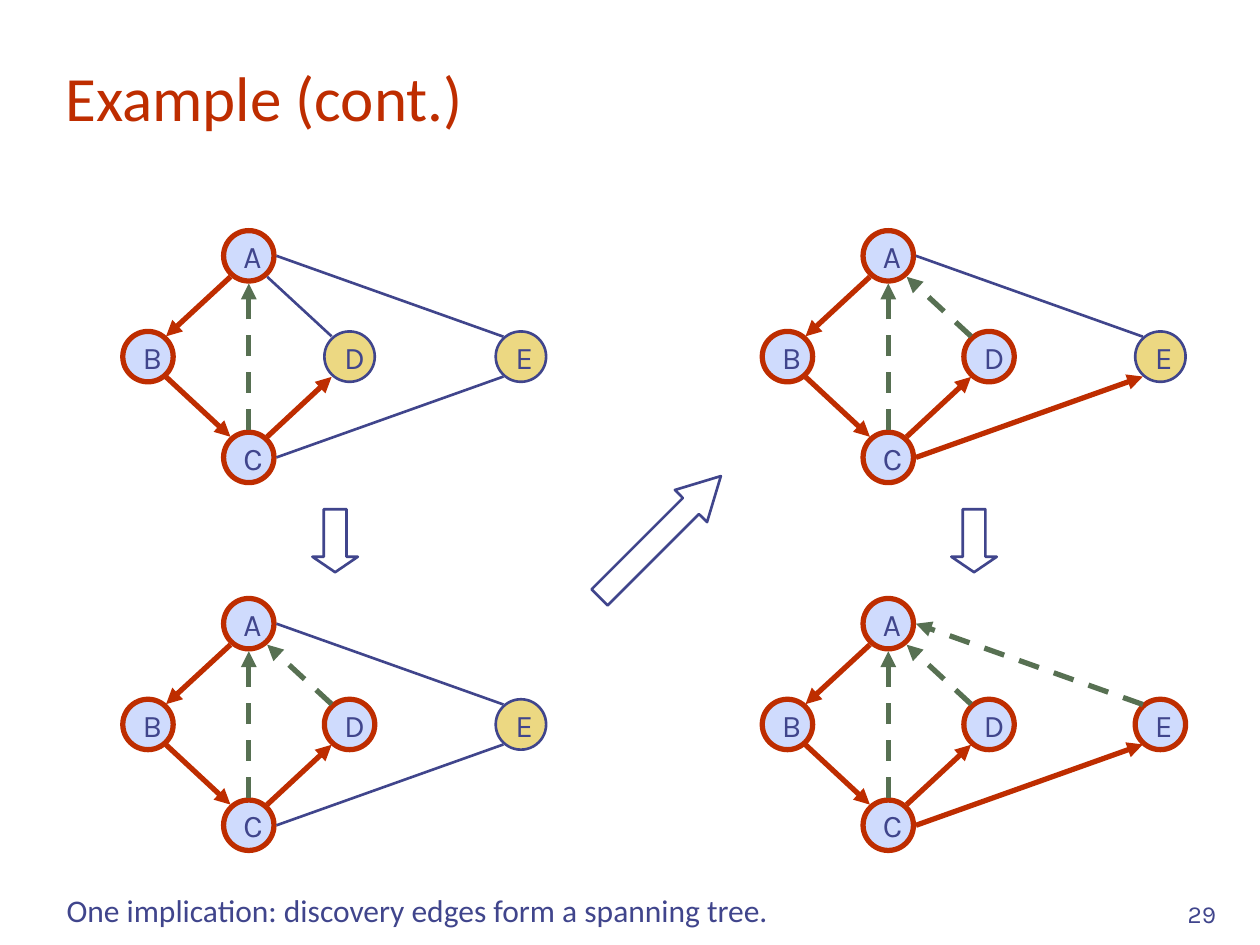
from pptx import Presentation
from pptx.dml.color import RGBColor
from pptx.enum.dml import MSO_LINE
from pptx.enum.shapes import MSO_CONNECTOR, MSO_SHAPE
from pptx.enum.text import MSO_ANCHOR, PP_ALIGN
from pptx.oxml.ns import qn
from pptx.util import Pt
from lxml.etree import SubElement

COLORS = {
    "red": "BE2D00",
    "indigo": "40458C",
    "green": "577052",
    "pale_blue": "CFDBFD",
    "sand": "ECD882",
}

NODE_SIZE = 28.8
# Node centres and edge ends are measured from the centre of node A.
NODES = {
    "A": (0, 0),
    "B": (-57.6, 57.6),
    "C": (0, 115.2),
    "D": (57.6, 57.6),
    "E": (155.5, 57.6),
}
EDGES = {
    "AB": ((-10.5, 12), (-47.3, 46)),
    "BC": ((-47.3, 69.2), (-10.5, 103.4)),
    "CD": ((10.5, 103.4), (47.3, 69.2)),
    "DA": ((47.3, 46), (10.5, 12)),
    "CA": ((0, 99.4), (0, 15.8)),
    "CE": ((15.8, 115.2), (145.5, 69)),
    "EA": ((145.5, 46.2), (15.8, 0)),
}
# Edge kind: colour, width, dashed, arrowhead
EDGE_STYLES = {
    "unexplored": ("indigo", 1.5, False, False),
    "discovery": ("red", 3, False, True),
    "back": ("green", 3, True, True),
}
LEFT, RIGHT = 142.2, 507.6
TOP, BOTTOM = 146.2, 356.4
# Centre of A, visited nodes, discovery edges, back edges
STAGES = [
    (LEFT, TOP, "ABC", ["AB", "BC", "CD"], ["CA"]),
    (LEFT, BOTTOM, "ABCD", ["AB", "BC", "CD"], ["CA", "DA"]),
    (RIGHT, TOP, "ABCD", ["AB", "BC", "CD", "CE"], ["CA", "DA"]),
    (RIGHT, BOTTOM, "ABCDE", ["AB", "BC", "CD", "CE"], ["CA", "DA", "EA"]),
]


def color(name):
    return RGBColor.from_string(COLORS[name])


def set_line(line, color_name, width):
    line.color.rgb = color(color_name)
    line.width = Pt(width)


def write(shape, text, font_name, size, color_name, align=PP_ALIGN.LEFT):
    para = shape.text_frame.paragraphs[0]
    para.text = text
    para.alignment = align
    para.font.name = font_name
    para.font.size = Pt(size)
    para.font.color.rgb = color(color_name)


def add_text(slide, bounds, text, font_name, size, color_name,
             anchor=MSO_ANCHOR.TOP, align=PP_ALIGN.LEFT, wrap=True):
    box = slide.shapes.add_textbox(*map(Pt, bounds))
    box.text_frame.word_wrap = wrap
    box.text_frame.vertical_anchor = anchor
    write(box, text, font_name, size, color_name, align)


def add_node(group, name, center_x, center_y, visited):
    node = group.shapes.add_shape(
        MSO_SHAPE.OVAL, Pt(center_x - NODE_SIZE / 2), Pt(center_y - NODE_SIZE / 2),
        Pt(NODE_SIZE), Pt(NODE_SIZE))
    node.shadow.inherit = False
    node.fill.solid()
    node.fill.fore_color.rgb = color("pale_blue" if visited else "sand")
    set_line(node.line, *(("red", 3) if visited else ("indigo", 1.5)))
    node.text_frame.word_wrap = False
    node.text_frame.vertical_anchor = MSO_ANCHOR.MIDDLE
    write(node, name, "Karla", 18, "indigo")


def add_edge(group, start, end, kind):
    color_name, width, dashed, arrowhead = EDGE_STYLES[kind]
    edge = group.shapes.add_connector(MSO_CONNECTOR.STRAIGHT, *map(Pt, start + end))
    set_line(edge.line, color_name, width)
    if dashed:
        edge.line.dash_style = MSO_LINE.DASH
    if arrowhead:
        SubElement(edge.line._get_or_add_ln(), qn("a:tailEnd"), type="triangle")
    SubElement(edge._element.spPr, qn("a:effectLst"))


def add_graph(slide, left, top, visited, discovery, back):
    """Draw one stage of the search, with node A centred at (left, top)."""
    group = slide.shapes.add_group_shape()
    for name, (x, y) in NODES.items():
        add_node(group, name, left + x, top + y, name in visited)
    for name, ends in EDGES.items():
        kind = ("discovery" if name in discovery
                else "back" if name in back else "unexplored")
        # The undirected D-A and E-A edges share their ends with the back edges.
        start, end = [(left + x, top + y) for x, y in ends]
        add_edge(group, start, end, kind)


def add_step_arrow(slide, center_x, center_y, length, rotation, head):
    thickness = 26
    arrow = slide.shapes.add_shape(
        MSO_SHAPE.RIGHT_ARROW, Pt(center_x - length / 2), Pt(center_y - thickness / 2),
        Pt(length), Pt(thickness))
    arrow.adjustments[0] = 0.5
    arrow.adjustments[1] = head
    arrow.rotation = rotation
    arrow.shadow.inherit = False
    arrow.fill.background()
    set_line(arrow.line, "indigo", 1.5)


def main():
    deck = Presentation()
    deck.slide_width, deck.slide_height = Pt(720), Pt(540)
    slide = deck.slides.add_slide(deck.slide_layouts[6])

    add_text(slide, (30.24, 23.76, 671.76, 56.16), "Example (cont.)",
             "Calibri", 36, "red", anchor=MSO_ANCHOR.BOTTOM)
    for stage in STAGES:
        add_graph(slide, *stage)
    for center_x in (191.5, 556.6):
        add_step_arrow(slide, center_x, 309, 36, 90, 0.34)
    add_step_arrow(slide, 377.3, 306.7, 98, -45, 0.93)
    add_text(slide, (552.24, 498.24, 149.76, 36), "29", "Karla", 14, "indigo",
             anchor=MSO_ANCHOR.BOTTOM, align=PP_ALIGN.RIGHT)
    add_text(slide, (30.96, 505.44, 420.48, 28.8),
             "One implication: discovery edges form a spanning tree.",
             "Calibri", 18, "indigo", wrap=False)
    deck.save("out.pptx")


if __name__ == "__main__":
    main()
